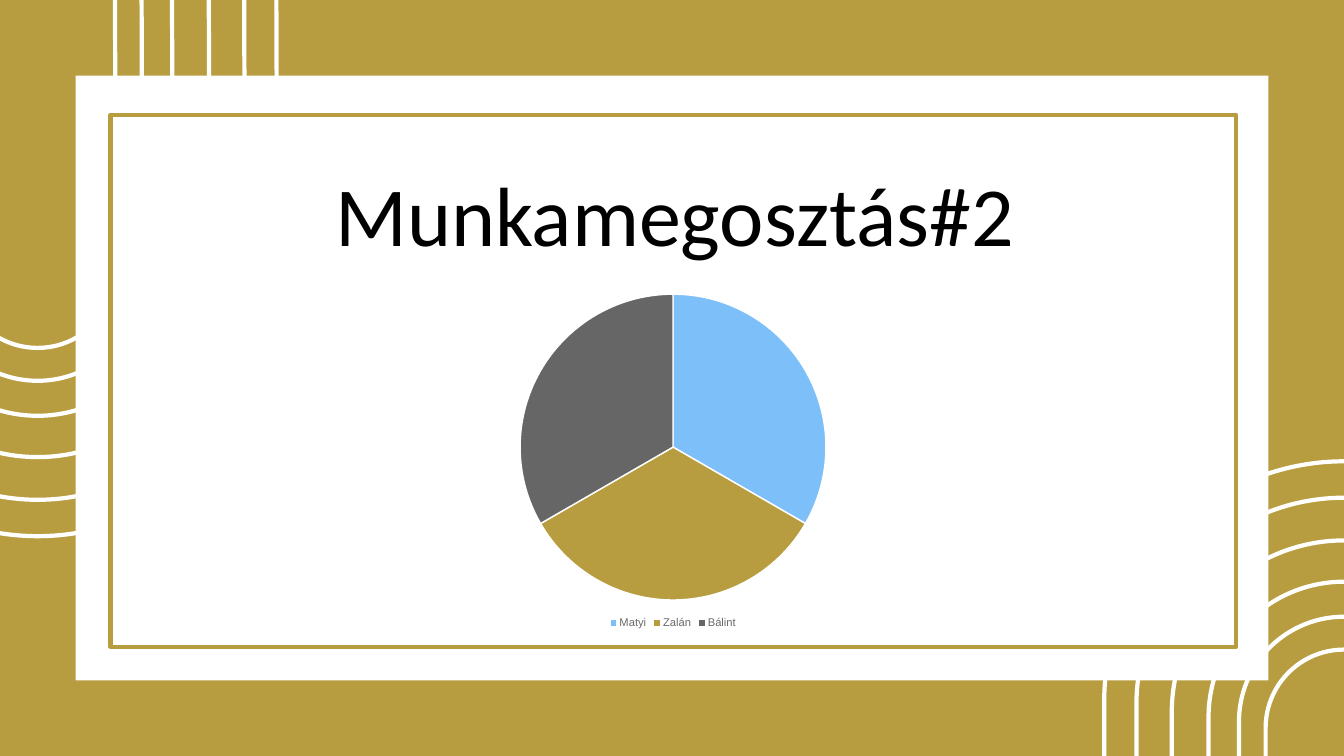
from pptx import Presentation
from pptx.chart.data import CategoryChartData
from pptx.dml.color import RGBColor
from pptx.enum.chart import XL_CHART_TYPE, XL_LEGEND_POSITION
from pptx.enum.shapes import MSO_SHAPE
from pptx.enum.text import MSO_AUTO_SIZE, PP_ALIGN
from pptx.util import Emu, Pt

PX = 9525
W, H = 1920, 1080
GOLD, WHITE, BLACK = "B89D40", "FFFFFF", "000000"
TITLE = "Munkamegosztás#2"
SHARES = [("Matyi", 33, "7DBFF8"), ("Zalán", 33, GOLD), ("Bálint", 33, "666666")]
ARCHES = [(685, 1115, 659), (593, 1011, 711), (492, 889, 772),
          (387, 769, 831), (300, 670, 881), (224, 576, 928)]
RIGHT_X, LEFT_X, MIRROR_Y = 1920, 53, 1425
PANEL = (108, 108, 1704, 864)
FRAME = (158, 164, 1608, 760)
TITLE_BOX = (479, 203, 1098, 175)
CHART_BOX = (550, 407, 823, 495)


def rgb(color):
    return RGBColor.from_string(color)


def emu(*lengths):
    return [Emu(round(v * PX)) for v in lengths]


def add_box(s, kind, box, fill=None, line=None, rotation=0):
    sp = s.shapes.add_shape(kind, *emu(*box))
    sp.shadow.inherit = False
    sp.rotation = rotation
    if fill:
        sp.fill.solid()
        sp.fill.fore_color.rgb = rgb(fill)
    else:
        sp.fill.background()
    if line:
        sp.line.color.rgb = rgb(line)
        sp.line.width = Pt(4.5)
    else:
        sp.line.fill.background()
    return sp


def add_arch(s, cx, top, w, h, rotation):
    box = (cx - w / 2, top, w, h)
    sp = add_box(s, MSO_SHAPE.ROUND_2_SAME_RECTANGLE, box, line=WHITE, rotation=rotation)
    sp.adjustments[0] = 0.5


def add_text(s, box, text, size, font, color, spacing):
    tf = s.shapes.add_textbox(*emu(*box)).text_frame
    tf.word_wrap = True
    tf.auto_size = MSO_AUTO_SIZE.SHAPE_TO_FIT_TEXT
    tf.margin_left = tf.margin_top = tf.margin_right = tf.margin_bottom = 0
    p = tf.paragraphs[0]
    p.alignment = PP_ALIGN.LEFT
    p.line_spacing = spacing
    r = p.add_run()
    r.text = text
    set_font(r.font, size, font, color)


def set_font(f, size, name, color):
    f.size, f.name = Pt(size), name
    f.color.rgb = rgb(color)


def add_pie(s, box, shares):
    data = CategoryChartData()
    data.categories = [name for name, _, _ in shares]
    data.add_series("Series 1", [value for _, value, _ in shares])
    chart = s.shapes.add_chart(XL_CHART_TYPE.PIE, *emu(*box), data).chart
    set_font(chart.font, 10, "Arial", "191919")
    chart.has_title = False
    chart.has_legend = True
    chart.legend.position = XL_LEGEND_POSITION.BOTTOM
    chart.legend.include_in_layout = False
    set_font(chart.legend.font, 12, "Arial", "6A6A6A")
    plot = chart.plots[0]
    plot.vary_by_categories = True
    for i, (_, _, color) in enumerate(shares):
        fmt = plot.series[0].points[i].format
        fmt.fill.solid()
        fmt.fill.fore_color.rgb = rgb(color)
        fmt.line.color.rgb = rgb(WHITE)
        fmt.line.width = Pt(1.5)


def main():
    """Build the work-sharing slide."""
    prs = Presentation()
    prs.slide_width, prs.slide_height = emu(W, H)
    s = prs.slides.add_slide(prs.slide_layouts[6])
    s.background.fill.solid()
    s.background.fill.fore_color.rgb = rgb(GOLD)
    for w, h, top in ARCHES:
        add_arch(s, LEFT_X, MIRROR_Y - top - h, w, h, 179.8)
    for w, h, top in ARCHES:
        add_arch(s, RIGHT_X, top, w, h, 0)
    add_box(s, MSO_SHAPE.RECTANGLE, PANEL, fill=WHITE)
    add_box(s, MSO_SHAPE.RECTANGLE, FRAME, line=GOLD)
    add_text(s, TITLE_BOX, TITLE, size=90, font="Calibri", color=BLACK, spacing=1.2)
    add_pie(s, CHART_BOX, SHARES)
    prs.save("out.pptx")


if __name__ == "__main__":
    main()
